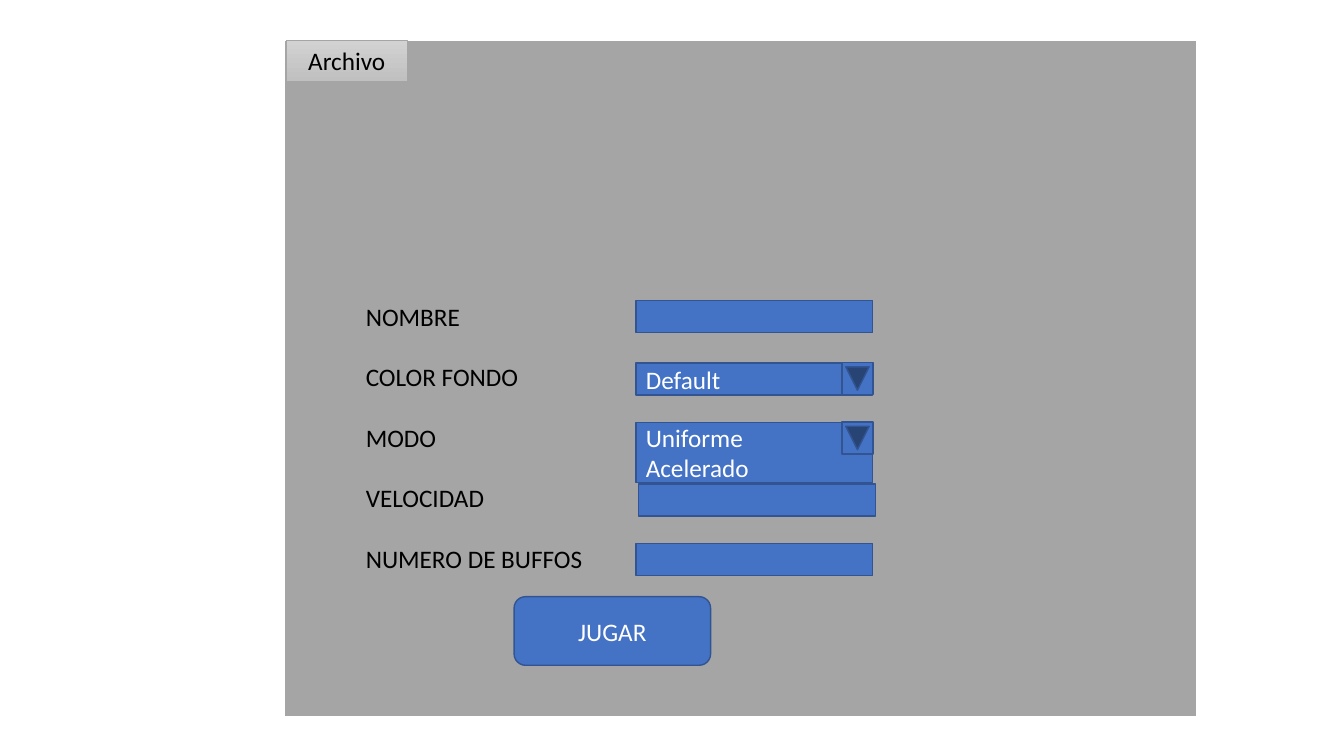
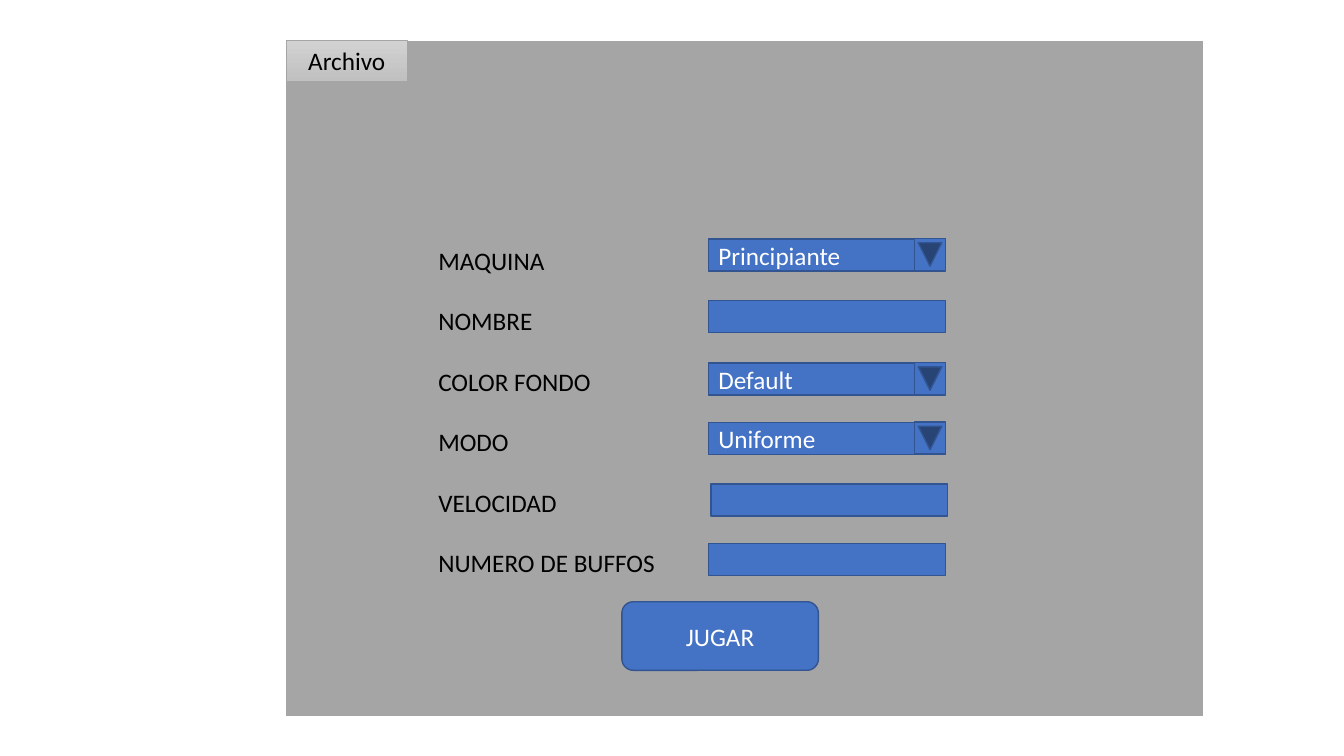
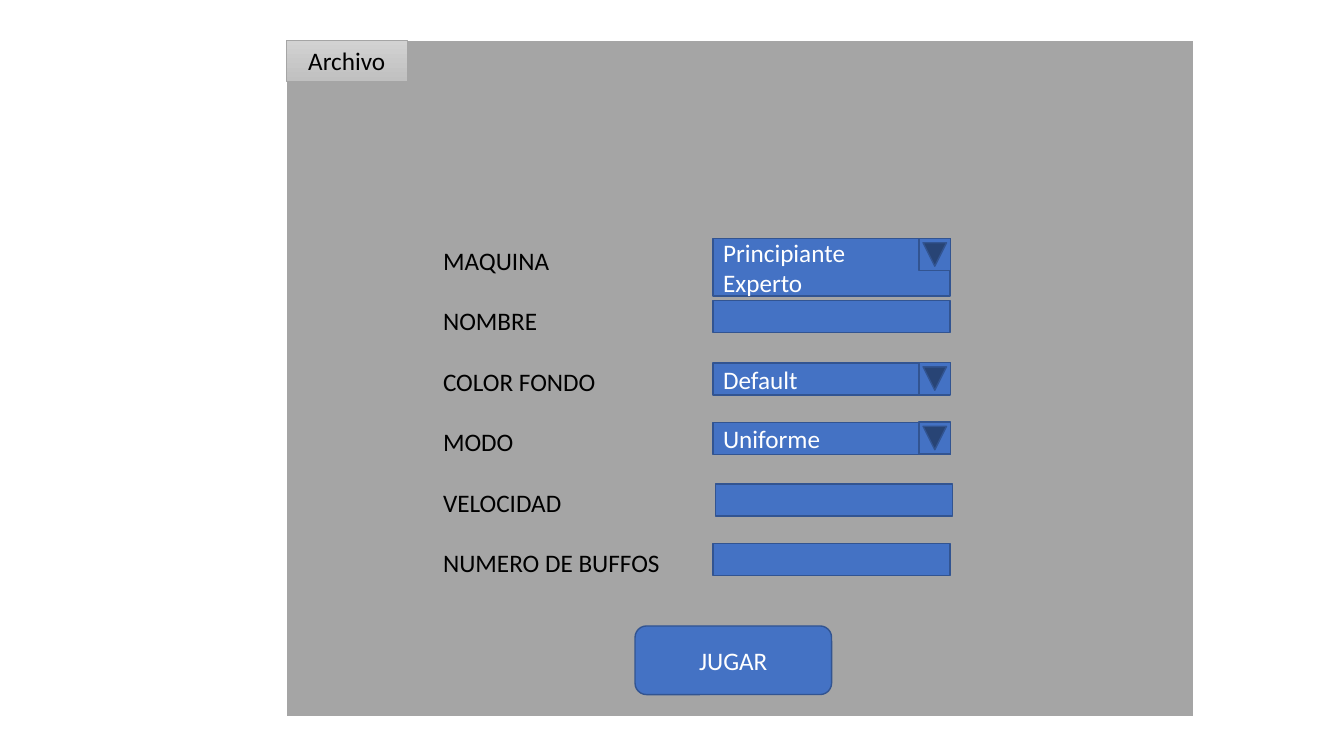
"""Builds three mock-ups of a game's start form."""
from dataclasses import dataclass

from pptx import Presentation
from pptx.dml.color import RGBColor as Rgb
from pptx.enum import shapes, text
from pptx.util import Pt

Kind = shapes.MSO_SHAPE
Align = text.PP_ALIGN


@dataclass(frozen=True)
class Theme:
    """Holds the colours and type sizes."""
    panel: Rgb = Rgb.from_string("A5A5A5")
    field: Rgb = Rgb.from_string("4472C4")
    edge: Rgb = Rgb.from_string("325491")
    light: Rgb = Rgb.from_string("D2D2D2")
    shade: Rgb = Rgb.from_string("C0C0C0")
    white: Rgb = Rgb.from_string("FFFFFF")
    black: Rgb = Rgb.from_string("000000")
    font: str = "Calibri"
    size: int = 18


@dataclass(frozen=True)
class Form:
    """Describes one form: panel, labels, button and open lists."""
    panel: tuple
    label: tuple
    button: tuple
    picks: dict
    tall: dict


THEME = Theme()
TOP, HIGH, GAP = 28.8, 483.1, 21.6
WIDE, LOW = 169.2, 23
ROWS = {"MAQUINA": 170.6, "NOMBRE": 214.6, "COLOR FONDO": 259.2,
        "MODO": 301.7, "VELOCIDAD": 345.6, "NUMERO DE BUFFOS": 388.1}
SHIFT = {"VELOCIDAD": 1.8}

FORMS = (
    Form((202.6, 652.3), (254.2, 211.7), (367.2, 426.2),
         {"COLOR FONDO": ["Default"], "MODO": ["Uniforme", "Acelerado"]},
         {"MODO": 43.2}),
    Form((203.8, 655.9), (306, 171.4), (444.2, 429.8),
         {"MAQUINA": ["Principiante"], "COLOR FONDO": ["Default"],
          "MODO": ["Uniforme"]}, {}),
    Form((204.5, 648.7), (309.4, 171.4), (453.6, 447.1),
         {"MAQUINA": ["Principiante", "Experto"],
          "COLOR FONDO": ["Default"], "MODO": ["Uniforme"]},
         {"MAQUINA": 41}),
)


def write(frame, lines, color, align=Align.LEFT, gap=0):
    """Fills a text frame, one paragraph a line."""
    frame.word_wrap = True
    frame.text = "\n".join(lines)
    for i, para in enumerate(frame.paragraphs):
        para.alignment = align
        if i and gap:
            para.space_before = Pt(gap)
        for run in para.runs:
            run.font.name = THEME.font
            run.font.size = Pt(THEME.size)
            run.font.color.rgb = color


def block(slide, kind, area, fill=THEME.field, edge=THEME.edge, width=1):
    """Adds a filled and outlined shape."""
    shape = slide.shapes.add_shape(kind, *map(Pt, area))
    shape.shadow.inherit = False
    shape.fill.solid()
    shape.fill.fore_color.rgb = fill
    shape.line.color.rgb = edge
    shape.line.width = Pt(width)
    return shape


def field(slide, left, top, high, lines):
    """Adds an input field, with an arrow if it lists choices."""
    box = block(slide, Kind.RECTANGLE, (left, top, WIDE, high))
    if lines:
        box.text_frame.vertical_anchor = text.MSO_ANCHOR.MIDDLE
        write(box.text_frame, lines, THEME.white)
        arrow = block(slide, Kind.ACTION_BUTTON_BACK_OR_PREVIOUS,
                      (left + 146.8, top, LOW, 22.3))
        arrow.rotation = 270


def labels(slide, form, names):
    """Adds the column of field names."""
    high = len(names) * 2 * GAP - GAP + 7.2
    box = slide.shapes.add_textbox(*map(Pt, (*form.label, 225.4, high)))
    write(box.text_frame, names, THEME.black, gap=GAP)


def menu(slide):
    """Adds the menu tab at the top of the panel."""
    tab = block(slide, Kind.RECTANGLE, (204.5, TOP, 86.4, 29.2),
                edge=THEME.panel, width=0.5)
    tab.fill.gradient()
    tab.fill.gradient_angle = 270
    for stop, color in zip(tab.fill.gradient_stops,
                           (THEME.light, THEME.shade)):
        stop.color.rgb = color
    write(tab.text_frame, ["Archivo"], THEME.black, Align.CENTER)


def draw(slide, form):
    """Draws one form."""
    left, wide = form.panel
    block(slide, Kind.RECTANGLE, (left, TOP, wide, HIGH),
          THEME.panel, THEME.white, 1.5)
    names = [name for name, top in ROWS.items() if top >= form.label[1] - 1]
    labels(slide, form, names)
    for name in names:
        field(slide, form.label[0] + 200 + SHIFT.get(name, 0), ROWS[name],
              form.tall.get(name, LOW), form.picks.get(name))
    play = block(slide, Kind.ROUNDED_RECTANGLE, (*form.button, 140.4, 49))
    write(play.text_frame, ["JUGAR"], THEME.white, Align.CENTER)
    menu(slide)


def main():
    """Builds and saves the deck."""
    deck = Presentation()
    deck.slide_width, deck.slide_height = Pt(960), Pt(540)
    for form in FORMS:
        draw(deck.slides.add_slide(deck.slide_layouts[6]), form)
    deck.save("out.pptx")


if __name__ == "__main__":
    main()
